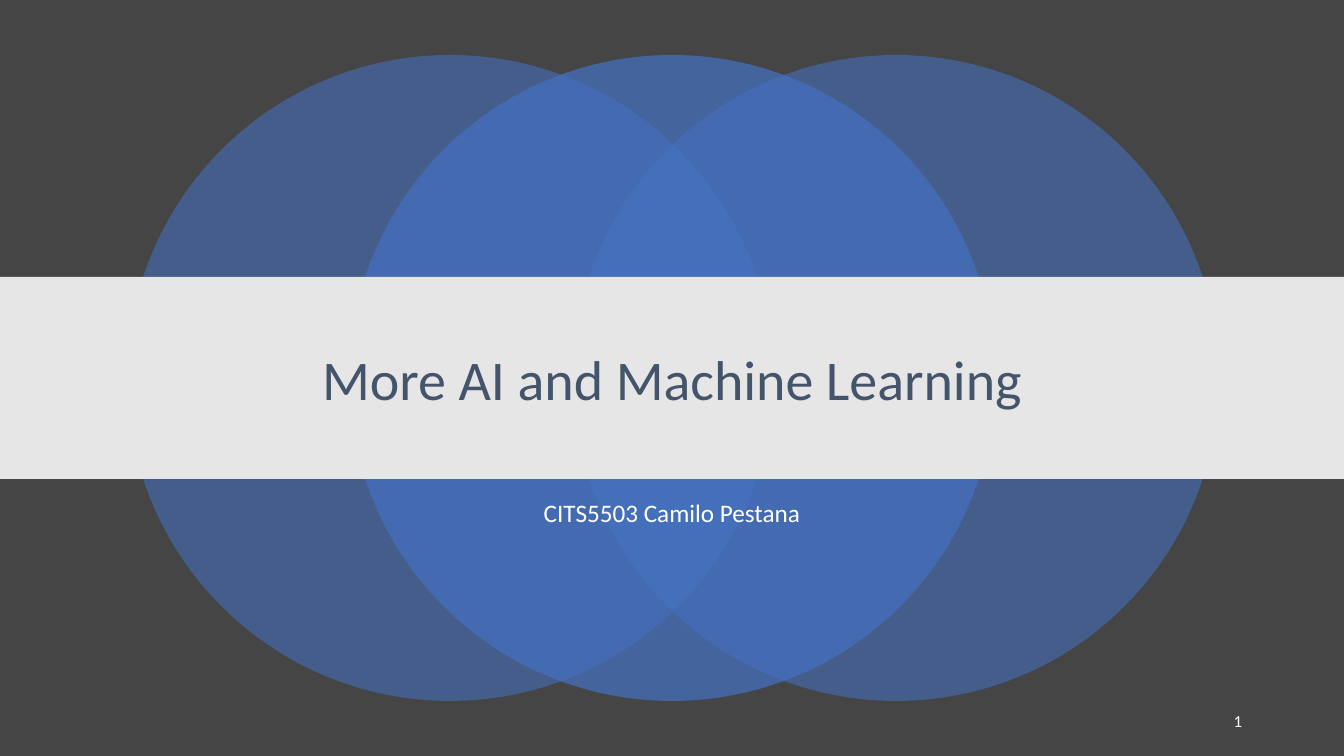
from lxml import etree
from pptx import Presentation, util as u
from pptx.dml.color import RGBColor
from pptx.enum import shapes, text
from pptx.oxml.ns import qn

HUES = {"back": "454545", "disc": "4472C4", "band": "E7E6E6",
        "title": "44546A", "white": "FFFFFF"}
SIZE = (1344, 756)
DISC = 646
DISC_TOP = 55
DISCS = [(127, 55), (573, 55), (349, 70)]
BAND = (0, 277, 1344, 202)
LEFT, MID, RIGHT = text.PP_ALIGN.LEFT, text.PP_ALIGN.CENTER, text.PP_ALIGN.RIGHT
TOP, HALF = text.MSO_ANCHOR.TOP, text.MSO_ANCHOR.MIDDLE
LABELS = [
    ("More AI and Machine Learning", (168, 306, 1008, 152), 40, "title", MID, HALF, 0.9),
    ("CITS5503 Camilo Pestana", (168, 496, 1008, 84), 18, "white", MID, TOP, 0.9),
    ("1", (950, 701, 302, 40), 12, "white", RIGHT, HALF, 1.0),
]
SCALE = 914400 / 100.8


def emu(*px):
    return [u.Emu(round(n * SCALE)) for n in px]


def paint(fill, hue):
    fill.solid()
    fill.fore_color.rgb = RGBColor.from_string(HUES[hue])


def add_shape(slide, kind, box, hue, solid=100):
    shape = slide.shapes.add_shape(kind, *emu(*box))
    shape.shadow.inherit = False
    shape.line.fill.background()
    paint(shape.fill, hue)
    if solid < 100:
        tint = shape.fill._xPr.find(qn("a:solidFill"))[0]
        etree.SubElement(tint, qn("a:alpha")).set("val", str(solid * 1000))


def add_label(slide, words, box, size, hue, align, anchor, lead):
    frame = slide.shapes.add_textbox(*emu(*box)).text_frame
    frame.word_wrap = True
    frame.vertical_anchor = anchor
    para = frame.paragraphs[0]
    para.text = words
    para.alignment = align
    para.line_spacing = lead
    para.font.name = "Calibri"
    para.font.size = u.Pt(size)
    para.font.color.rgb = RGBColor.from_string(HUES[hue])


def main():
    deck = Presentation()
    deck.slide_width, deck.slide_height = emu(*SIZE)
    slide = deck.slides.add_slide(deck.slide_layouts[6])
    paint(slide.background.fill, "back")
    kinds = shapes.MSO_SHAPE
    for left, solid in DISCS:
        add_shape(slide, kinds.OVAL, (left, DISC_TOP, DISC, DISC), "disc", solid)
    add_shape(slide, kinds.RECTANGLE, BAND, "band")
    for label in LABELS:
        add_label(slide, *label)
    deck.save("out.pptx")


if __name__ == "__main__":
    main()
